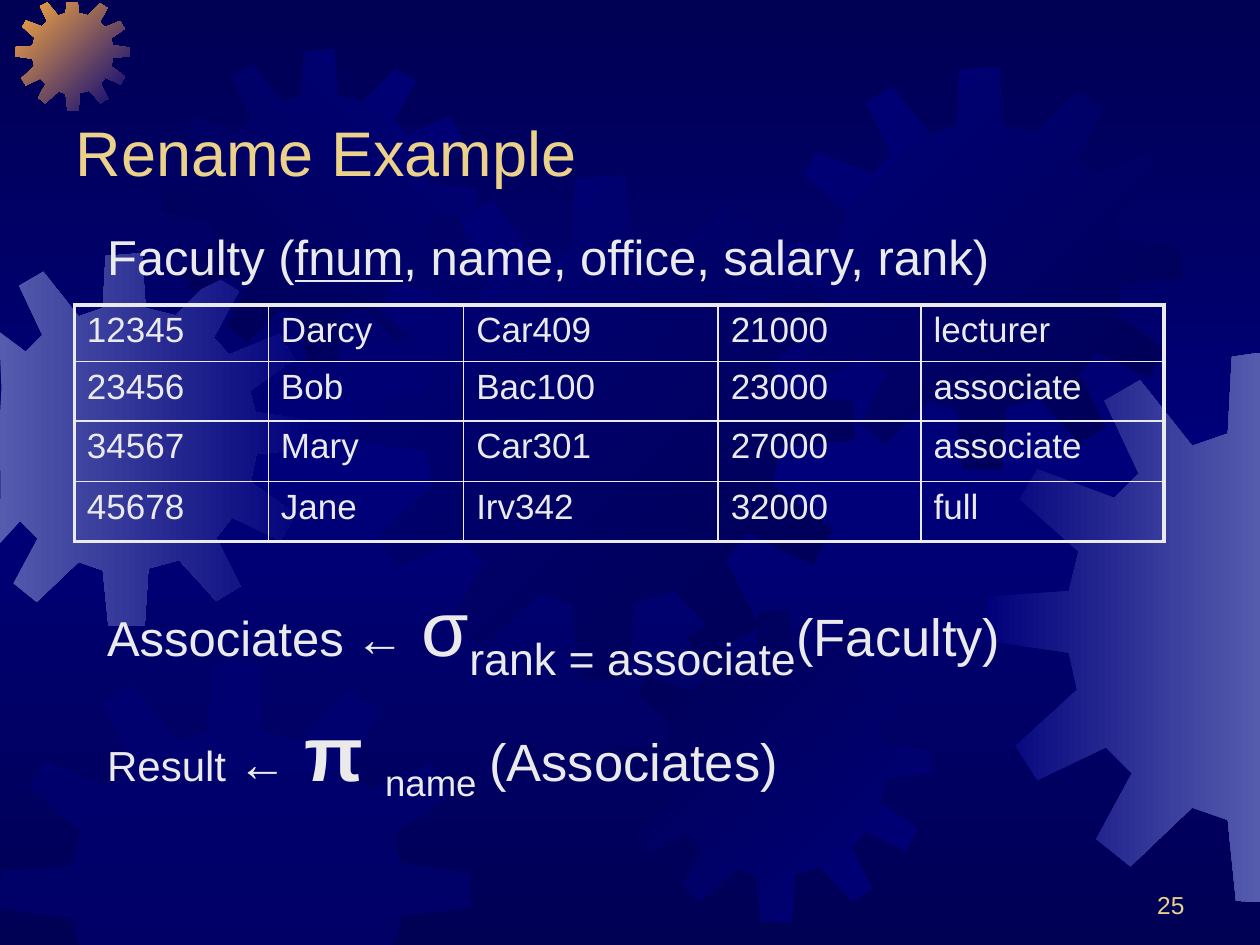
"""Builds a slide that shows the relational rename operator on a Faculty table."""
from copy import deepcopy

from lxml import etree
from pptx import Presentation
from pptx.dml.color import RGBColor
from pptx.enum.text import MSO_ANCHOR, MSO_AUTO_SIZE, PP_ALIGN
from pptx.oxml.ns import qn
from pptx.util import Inches, Pt

BOTTOM = MSO_ANCHOR.BOTTOM
NO_AUTOFIT = MSO_AUTO_SIZE.NONE
LEFT, RIGHT = PP_ALIGN.LEFT, PP_ALIGN.RIGHT
NAVY = RGBColor(0x00, 0x00, 0x54)
BLUE = RGBColor(0x00, 0x00, 0x7A)
LAVENDER = RGBColor(0x55, 0x5B, 0xAD)
ORANGE = RGBColor(0xFC, 0xAB, 0x40)
GOLD = RGBColor(0xEB, 0xD1, 0x89)
PALE = RGBColor(0xEA, 0xEA, 0xEA)
FONT = "Arial"


def style(run, size, color, bold=False):
    run.font.name = FONT
    run.font.size = Pt(size)
    run.font.bold = bold
    run.font.color.rgb = color


def place(shape, left, top, width, height):
    shape.left, shape.top = int(left * GRID), int(top * GRID)
    shape.width, shape.height = int(width * GRID), int(height * GRID)


deck = Presentation()
deck.slide_width, deck.slide_height = Inches(10), Inches(7.5)
GRID = deck.slide_width / 100
slide = deck.slides.add_slide(deck.slide_layouts[1])
title, body = slide.placeholders
shapes = slide.shapes

backdrop = slide.background.fill
backdrop.gradient()
backdrop.gradient_angle = 270
stop_list = next(slide.element.iter(qn("a:gsLst")))
stop_list.insert(1, deepcopy(stop_list[0]))
for stop, position, color in zip(backdrop.gradient_stops, (0, 0.5, 1), (NAVY, BLUE, NAVY)):
    stop.position = position
    stop.color.rgb = color

GEAR_SPAN = 401
GEAR_OUTLINE = [
    (255, 67), (223, 59), (219, 0), (180, 3), (177, 59), (151, 68), (113, 20), (87, 35),
    (112, 88), (94, 106), (38, 85), (25, 107), (68, 145), (61, 174), (1, 178), (0, 210),
    (61, 219), (67, 246), (22, 287), (38, 312), (88, 288), (107, 307), (81, 355), (106, 375),
    (151, 332), (177, 341), (183, 400), (222, 401), (226, 339), (259, 330), (299, 374),
    (325, 358), (299, 306), (316, 284), (368, 309), (384, 281), (336, 246), (342, 216),
    (401, 210), (400, 180), (341, 171), (335, 148), (383, 114), (367, 87), (313, 109),
    (296, 91), (323, 41), (297, 25),
]
GEARS = [
    (-4.9, 20.1, 29.6, LAVENDER, BLUE, 0),
    (1.2, -0.3, 9.1, ORANGE, BLUE, 45),
    (13, 3.9, 24.8, NAVY, BLUE, 315),
    (27.7, 13.9, 40.1, BLUE, NAVY, 45),
    (0, 52.5, 37.4, BLUE, None, 0),
    (49.1, 48.4, 24.8, NAVY, BLUE, 45),
    (61.8, 5.3, 32, BLUE, NAVY, 45),
    (78.2, 28, 43.6, BLUE, LAVENDER, 0),
]
for left, top, size, start_color, end_color, angle in GEARS:
    outline = [
        (int(min(max(left + x * size / GEAR_SPAN, 0), 100) * GRID),
         int(min(max(top + y * size / GEAR_SPAN, 0.2), 75) * GRID))
        for x, y in GEAR_OUTLINE
    ]
    builder = shapes.build_freeform(*outline[0])
    builder.add_line_segments(outline[1:], close=True)
    gear = builder.convert_to_shape()
    gear.shadow.inherit = False
    gear.line.fill.background()
    if end_color is None:
        gear.fill.solid()
        gear.fill.fore_color.rgb = start_color
        tint = next(gear.element.spPr.iter(qn("a:srgbClr")))
        etree.SubElement(tint, qn("a:alpha"), val="50000")
    else:
        gear.fill.gradient()
        gear.fill.gradient_angle = (360 - angle) % 360
        for stop, color in zip(gear.fill.gradient_stops, (start_color, end_color)):
            stop.color.rgb = color

page_number = shapes.add_textbox(0, 0, 0, 0)
place(page_number, 71.7, 68.3, 23.3, 5.2)
page_number.text_frame.word_wrap = True
page_number.text_frame.text = "25"
for box, alignment, size in ((page_number, RIGHT, 14), (title, LEFT, 36)):
    if box is title:
        place(title, 5, 3, 90, 12.5)
        title.text_frame.text = "Rename Example"
    box.text_frame.vertical_anchor = BOTTOM
    box.text_frame.auto_size = NO_AUTOFIT
    box.text_frame.paragraphs[0].alignment = alignment
    style(box.text_frame.paragraphs[0].runs[0], size, GOLD)

place(body, 7.5, 17.5, 86.7, 49.2)
body.text_frame.auto_size = NO_AUTOFIT
EXPRESSIONS = [
    (5.6, [("Faculty (", 28, ""), ("fnum", 28, "u"),
           (", name, office, salary, rank)", 28, "")]),
    (168, [("Associates", 28, ""), (" ", 24, ""), ("←", 28, "b"), (" ", 36, "b"),
           ("σ", 44, ""), ("rank = associate", 44, "s"), ("(Faculty)", 30, "")]),
    (10, [("Result ", 24, ""), ("←", 28, "b"), (" ", 36, "b"), ("π", 44, "b"),
          (" ", 45, "b"), ("name", 36, "s"), (" ", 45, "s"), ("(Associates)", 30, "")]),
]
body.text_frame.text = "\n".join("" for _ in EXPRESSIONS)
for paragraph, (gap, pieces) in zip(body.text_frame.paragraphs, EXPRESSIONS):
    paragraph.space_before = Pt(gap)
    properties = paragraph._p.get_or_add_pPr()
    properties.set("marL", str(Inches(0.67)))
    properties.set("indent", str(-Inches(0.67)))
    etree.SubElement(properties, qn("a:buNone"))
    for text, size, mark in pieces:
        run = paragraph.add_run()
        run.text = text
        style(run, size, PALE, bold=mark == "b")
        run.font.underline = mark == "u"
        if mark == "s":
            run.font._element.set("baseline", "-25000")

for placeholder in (title, body):
    shapes.element.append(placeholder.element)

FACULTY = [
    ("12345", "Darcy", "Car409", "21000", "lecturer"),
    ("23456", "Bob", "Bac100", "23000", "associate"),
    ("34567", "Mary", "Car301", "27000", "associate"),
    ("45678", "Jane", "Irv342", "32000", "full"),
]
COLUMN_WIDTHS = (15.4, 15.5, 20.2, 16.1, 19.3)
ROW_HEIGHTS = (4.5, 4.7, 4.8, 4.8)
last_row, last_column = len(ROW_HEIGHTS) - 1, len(COLUMN_WIDTHS) - 1
faculty_frame = shapes.add_table(len(ROW_HEIGHTS), len(COLUMN_WIDTHS), 0, 0, 0, 0)
place(faculty_frame, 5.9, 24.2, sum(COLUMN_WIDTHS), sum(ROW_HEIGHTS))
faculty = faculty_frame.table
faculty.first_row = faculty.horz_banding = False
for column, width in zip(faculty.columns, COLUMN_WIDTHS):
    column.width = int(width * GRID)
for row, height in zip(faculty.rows, ROW_HEIGHTS):
    row.height = int(height * GRID)
for r, record in enumerate(FACULTY):
    for c, value in enumerate(record):
        cell = faculty.cell(r, c)
        cell.text = value
        style(cell.text_frame.paragraphs[0].runs[0], 20, PALE)
        cell.fill.background()
        outer_edges = (c == 0, c == last_column, r == 0, r == last_row)
        for index, (side, outer) in enumerate(zip("LRTB", outer_edges)):
            border = etree.Element(qn(f"a:ln{side}"), w=str(Pt(2.25 if outer else 1)))
            paint = etree.SubElement(border, qn("a:solidFill"))
            etree.SubElement(paint, qn("a:srgbClr"), val=str(PALE))
            cell._tc.get_or_add_tcPr().insert(index, border)

deck.save("out.pptx")
